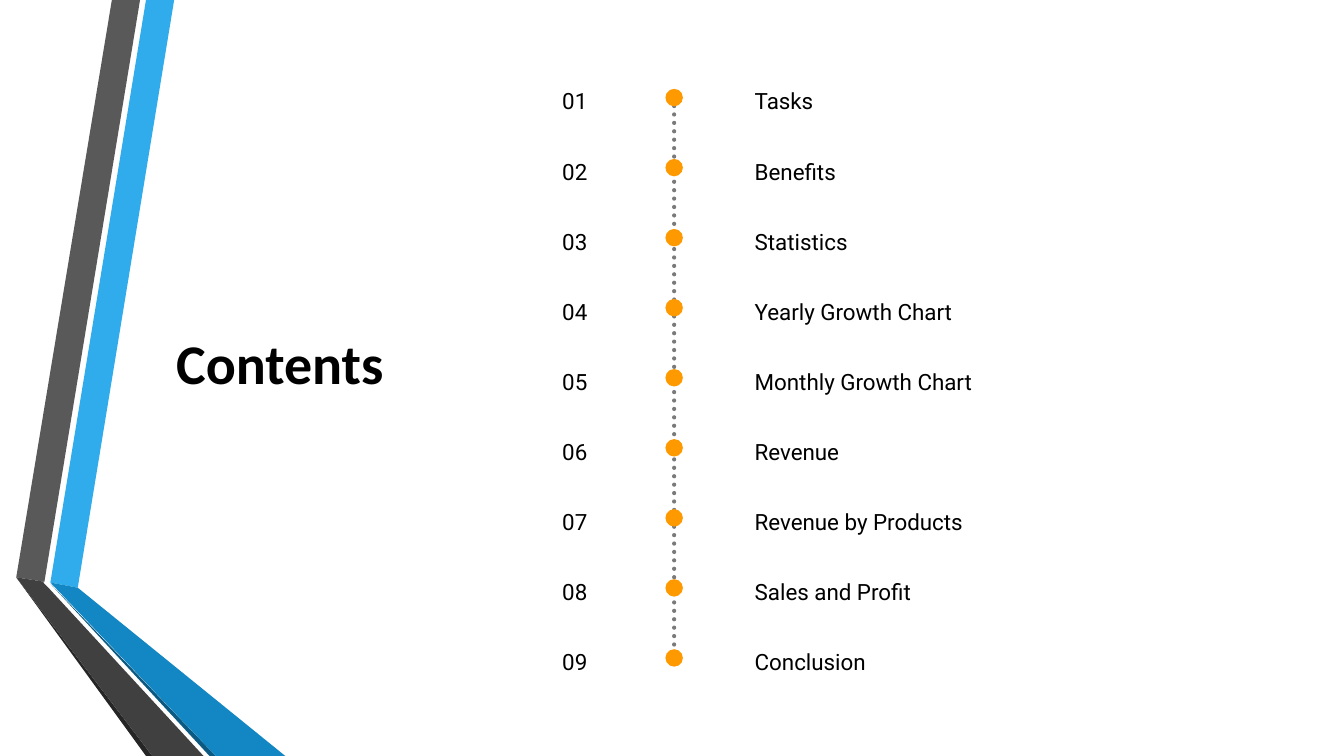
from pptx import Presentation
from pptx.dml.color import RGBColor
from pptx.enum.dml import MSO_LINE
from pptx.enum.shapes import MSO_CONNECTOR, MSO_SHAPE
from pptx.enum.text import MSO_AUTO_SIZE
from pptx.oxml.ns import qn
from pptx.util import Cm, Pt
from lxml.etree import SubElement

WIDE, HIGH = 33.87, 19.05
TOPICS = ["Tasks", "Benefits", "Statistics", "Yearly Growth Chart",
          "Monthly Growth Chart", "Revenue", "Revenue by Products",
          "Sales and Profit", "Conclusion"]

# Fill and corners in cm, from back to front
BANDS = [
    ("30ACEC", [(1.27, 14.68), (1.96, 14.81), (4.39, 0), (3.68, 0)]),
    ("595959", [(3.53, 0), (2.82, 0), (0.41, 14.55), (1.12, 14.66)]),
    ("262626", [(0.41, 14.55), (3.68, HIGH), (3.84, HIGH)]),
    ("0C5A82", [(1.27, 14.71), (5.28, HIGH), (5.44, HIGH)]),
    ("1287C3", [(1.27, 14.68), (5.44, HIGH), (7.19, HIGH), (1.96, 14.81)]),
    ("404040", [(0.41, 14.55), (3.84, HIGH), (5.13, HIGH), (1.22, 14.81),
                (1.09, 14.68), (1.12, 14.66)]),
]


def color(code):
    return RGBColor.from_string(code)


def paint(shape, code):
    shape.shadow.inherit = False
    shape.fill.solid()
    shape.fill.fore_color.rgb = color(code)
    shape.line.fill.background()


def write(shapes, box, text, font, size, bold=False, wrap=True, space=None):
    frame = shapes.add_textbox(*map(Cm, box)).text_frame
    frame.word_wrap = wrap
    frame.auto_size = MSO_AUTO_SIZE.SHAPE_TO_FIT_TEXT
    para = frame.paragraphs[0]
    para.line_spacing = space
    run = para.add_run()
    run.text = text
    run.font.name = font
    run.font.size = Pt(size)
    run.font.bold = bold
    run.font.color.rgb = color("000000")


def ribbon(shapes, left, top):
    group = shapes.add_group_shape().shapes
    for code, spots in BANDS:
        ends = [(Cm(left + x), Cm(top + y)) for x, y in spots]
        form = group.build_freeform(*ends[0])
        form.add_line_segments(ends[1:], close=True)
        paint(form.convert_to_shape(), code)


def title(shapes, box):
    write(shapes, box, "Contents", "Calibri", 40, bold=True, wrap=False)


def dotted(shapes, x, top, end):
    line = shapes.add_connector(MSO_CONNECTOR.STRAIGHT,
                                Cm(x), Cm(top), Cm(x), Cm(end))
    line.line.width = Pt(3)
    line.line.color.rgb = color("595959")
    line.line.dash_style = MSO_LINE.ROUND_DOT
    # Round caps, slight transparency, no shadow
    props = line._element.spPr
    stroke = props.find(qn("a:ln"))
    stroke.set("cap", "rnd")
    tint = next(stroke.iter(qn("a:srgbClr")))
    SubElement(tint, qn("a:alpha")).set("val", "80000")
    SubElement(props, qn("a:effectLst"))


def agenda(shapes, left, top, width, height):
    row, dot, name = 1.07, 0.44, 4.85
    step = (height - row) / (len(TOPICS) - 1)
    axis = left + 3.07
    first = top + 0.58

    # Timeline
    group = shapes.add_group_shape().shapes
    dotted(group, axis, first, first + height - row)
    for i in range(len(TOPICS)):
        mark = group.add_shape(MSO_SHAPE.OVAL, Cm(axis - dot / 2),
                               Cm(first + i * step - dot / 2), Cm(dot), Cm(dot))
        paint(mark, "FF9900")

    # Numbers and topics
    for i, topic in enumerate(TOPICS):
        y = top + i * step
        for x, wide, text in ((0, 2.06, f"{i + 1:02}"),
                              (name, width - name, topic)):
            write(shapes, (left + x, y, wide, row), text, "Roboto", 16,
                  space=1.3)


def main():
    deck = Presentation()
    deck.slide_width, deck.slide_height = Cm(WIDE), Cm(HIGH)
    slide = deck.slides.add_slide(deck.slide_layouts[6])
    ribbon(slide.shapes, 0, 0)
    title(slide.shapes, (4.19, 8.15, 5.79, 1.96))
    agenda(slide.shapes, 13.92, 1.88, 11.38, 15.19)
    deck.save("out.pptx")


if __name__ == "__main__":
    main()
